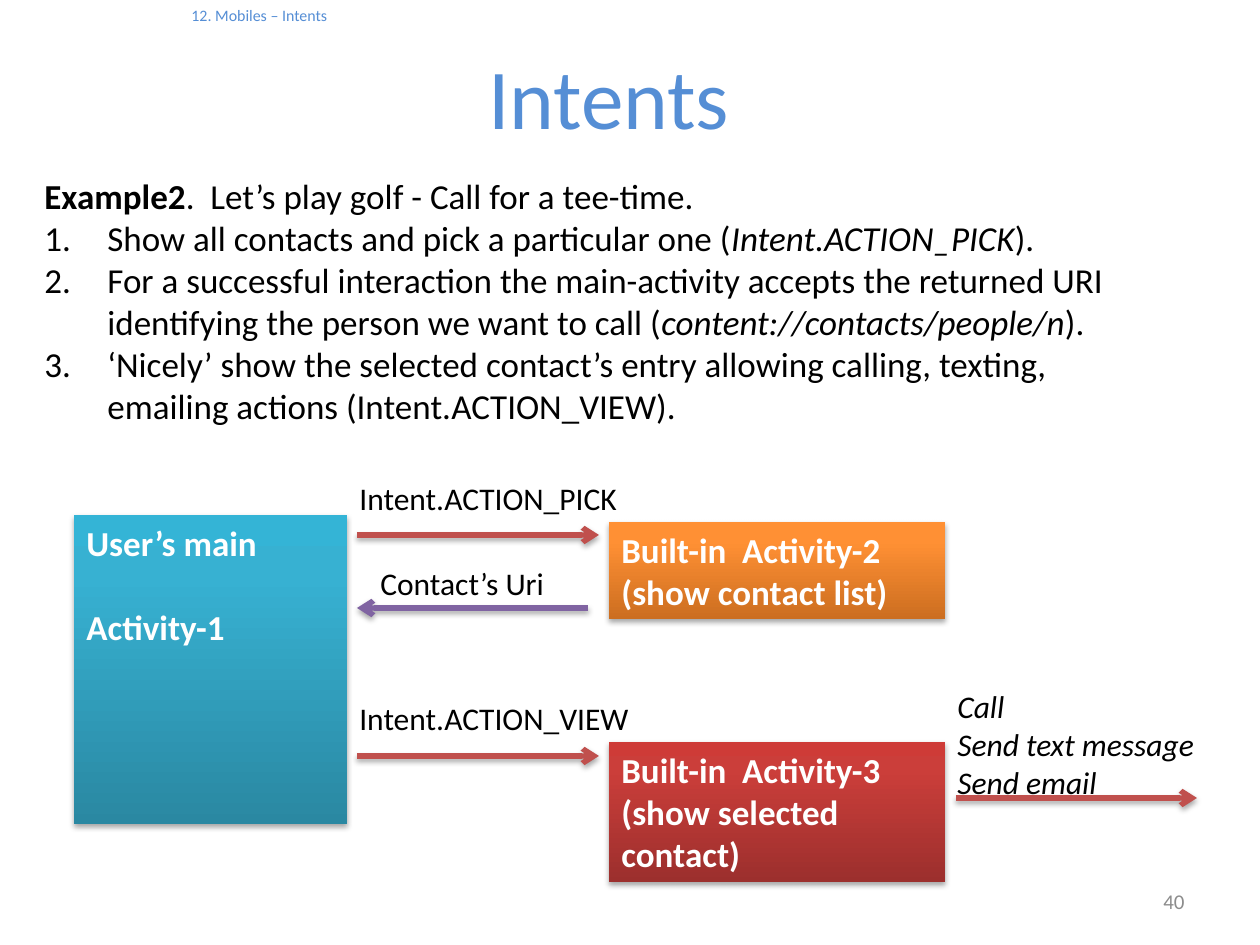
import pptx
import pptx.dml.color
import pptx.enum.shapes
import pptx.enum.text
import pptx.oxml
import pptx.oxml.ns
import pptx.util
import copy

PX = pptx.util.Inches(1) // 126
FONT = "Calibri"
rgb = pptx.dml.color.RGBColor.from_string
qn = pptx.oxml.ns.qn
LEFT = pptx.enum.text.PP_ALIGN.LEFT


def write(shape, lines, size, color, bold=False, italic=False):
    """Fill a shape with left-aligned, wrapped lines in one style."""
    frame = shape.text_frame
    frame.word_wrap = True
    frame.vertical_anchor = pptx.enum.text.MSO_ANCHOR.TOP
    frame.text = "\n".join(lines)
    for para in frame.paragraphs:
        para.alignment = LEFT
        for span in para.runs:
            span.font.name = FONT
            span.font.size = pptx.util.Pt(size)
            span.font.color.rgb = rgb(color)
            span.font.bold = bold
            span.font.italic = italic
    return frame


def add_shadow(shape):
    properties = shape._element.spPr
    for old in properties.findall(qn("a:effectLst")):
        properties.remove(old)
    properties.append(pptx.oxml.parse_xml(
        f'<a:effectLst {pptx.oxml.ns.nsdecls("a")}>'
        '<a:outerShdw blurRad="40000" dist="23000" dir="5400000" rotWithShape="0">'
        '<a:srgbClr val="000000"><a:alpha val="35000"/></a:srgbClr>'
        '</a:outerShdw></a:effectLst>'))


deck = pptx.Presentation()
deck.slide_width = 1260 * PX
deck.slide_height = 945 * PX
page = deck.slides.add_slide(deck.slide_layouts[6])
shapes = page.shapes

# Chapter line and title
box = shapes.add_textbox(42 * PX, 6 * PX, 1134 * PX, 120 * PX)
frame = write(box, ["12. Mobiles – Intents", "Intents"], 9.1, "558ED5")
frame.margin_top = 0
chapter, title = frame.paragraphs
chapter._p.get_or_add_pPr().set("marL", str(137 * PX))
title.alignment = pptx.enum.text.PP_ALIGN.CENTER
title.space_before = pptx.util.Pt(11)
title.runs[0].font.size = pptx.util.Pt(48.7)

# Page number
box = shapes.add_textbox(903 * PX, 876 * PX, 294 * PX, 50 * PX)
frame = write(box, ["40"], 12, "8C8C8C")
frame.vertical_anchor = pptx.enum.text.MSO_ANCHOR.MIDDLE
frame.paragraphs[0].alignment = pptx.enum.text.PP_ALIGN.RIGHT

# Example with numbered steps: each step is plain, italic, plain
example = [".  Let’s play golf - Call for a tee-time."]
steps = [
    ["Show all contacts and pick a particular one (", "Intent.ACTION_PICK", ")."],
    ["For a successful interaction the main-activity accepts the returned URI "
     "identifying the person we want to call (", "content://contacts/people/n", ")."],
    ["‘Nicely’ show the selected contact’s entry allowing calling, texting, "
     "emailing actions (Intent.ACTION_VIEW)."],
]
box = shapes.add_textbox(32 * PX, 168 * PX, 1155 * PX, 310 * PX)
frame = write(box, ["Example2"], 20, "000000", bold=True)
for number, parts in enumerate([example] + steps):
    para = frame.add_paragraph() if number else frame.paragraphs[0]
    if number:
        layout = para._p.get_or_add_pPr()
        layout.set("marL", str(63 * PX))
        layout.set("indent", str(-63 * PX))
        layout.append(pptx.oxml.parse_xml(
            f'<a:buAutoNum {pptx.oxml.ns.nsdecls("a")} type="arabicPeriod"/>'))
    for index, part in enumerate(parts):
        span = para.add_run()
        span.text = part
        span.font.name = FONT
        span.font.size = pptx.util.Pt(20)
        span.font.color.rgb = rgb("000000")
        span.font.italic = index == 1

# Activities, shaded from the bottom up
activities = [
    ((74, 515, 273, 309), ("2A88A2", "37B1D2", "34B4D6"),
     ["User’s main", "Activity-1"], 24),
    ((609, 522, 336, 97), ("CC6E20", "FF9034", "FF9136"),
     ["Built-in  Activity-2", "(show contact list)"], 0),
    ((609, 742, 336, 140), ("9C2F2D", "CB3E3A", "CE3B37"),
     ["Built-in  Activity-3", "(show selected contact)"], 0),
]
for place, colors, lines, gap in activities:
    activity = shapes.add_shape(pptx.enum.shapes.MSO_SHAPE.RECTANGLE,
                                *(PX * length for length in place))
    activity.line.fill.background()
    activity.fill.gradient()
    activity.fill.gradient_angle = 90
    stop_list = activity._element.spPr.find(".//" + qn("a:gsLst"))
    stop_list.insert(1, copy.deepcopy(stop_list[0]))
    for stop, color, position in zip(activity.fill.gradient_stops, colors, (0, 0.8, 1)):
        stop.color.rgb = rgb(color)
        stop.position = position
    add_shadow(activity)
    frame = write(activity, lines, 20, "FFFFFF", bold=True)
    frame.paragraphs[1].space_before = pptx.util.Pt(gap)

# Messages between activities
arrows = [
    (357, 599, 535, "C0504D"),
    (588, 357, 608, "8064A2"),
    (357, 599, 756, "C0504D"),
    (956, 1197, 798, "C0504D"),
]
for start, end, level, color in arrows:
    arrow = shapes.add_connector(pptx.enum.shapes.MSO_CONNECTOR.STRAIGHT,
                                 start * PX, level * PX, end * PX, level * PX)
    arrow.line.color.rgb = rgb(color)
    arrow.line.width = pptx.util.Pt(3)
    arrow.line._get_or_add_ln().append(pptx.oxml.parse_xml(
        f'<a:tailEnd {pptx.oxml.ns.nsdecls("a")} type="arrow"/>'))
    add_shadow(arrow)

labels = [
    ((347, 473, 294, 50), ["Intent.ACTION_PICK"], False),
    ((368, 558, 199, 50), ["Contact’s Uri"], False),
    ((347, 693, 315, 50), ["Intent.ACTION_VIEW"], False),
    ((945, 681, 315, 127), ["Call", "Send text message", "Send email"], True),
]
for place, lines, italic in labels:
    label = shapes.add_textbox(*(PX * length for length in place))
    write(label, lines, 18, "000000", italic=italic)

deck.save("out.pptx")
